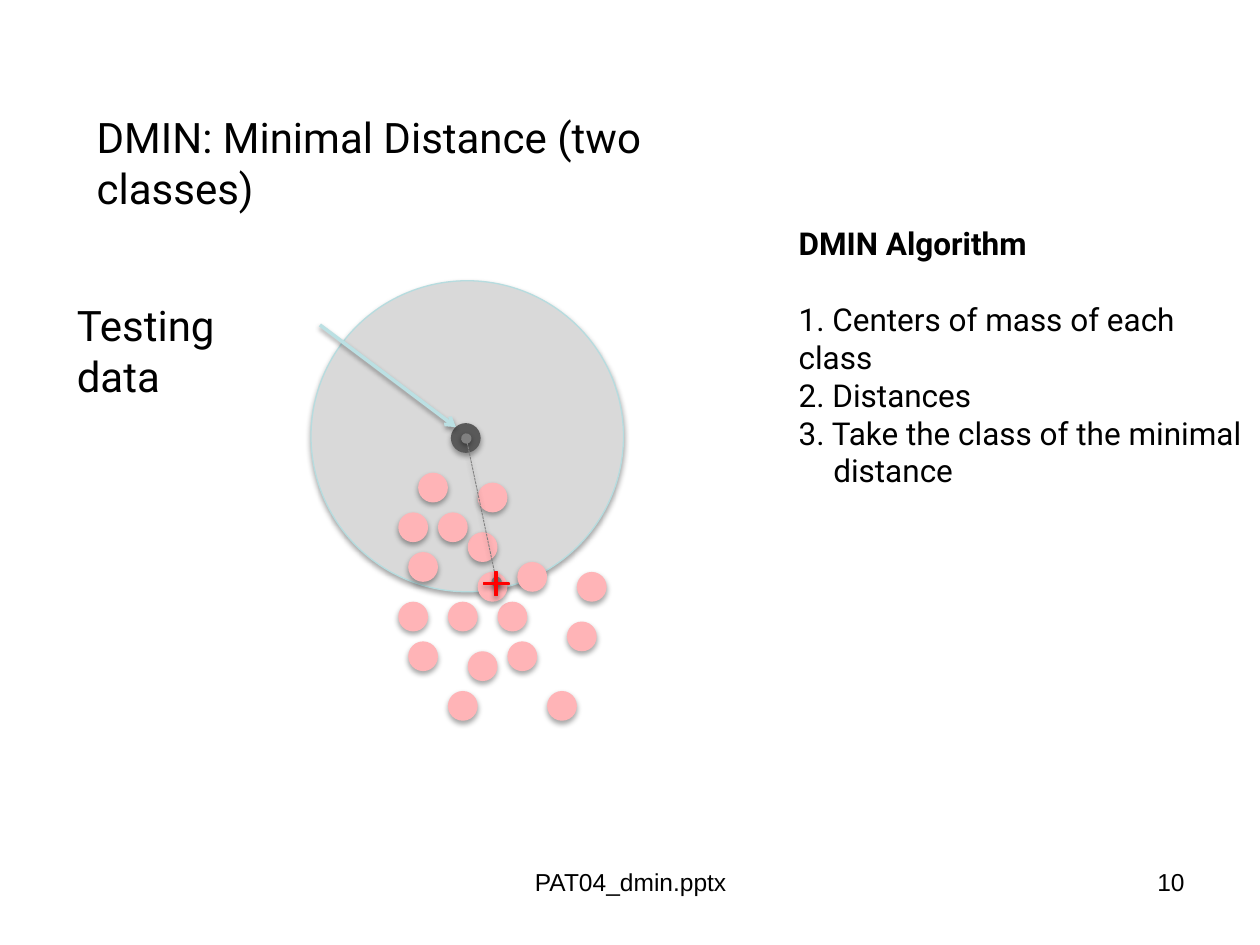
from lxml import etree
from pptx import Presentation
from pptx.dml.color import RGBColor
from pptx.enum.dml import MSO_LINE
from pptx.enum.shapes import MSO_CONNECTOR, MSO_SHAPE
from pptx.enum.text import PP_ALIGN
from pptx.oxml.ns import qn
from pptx.util import Cm, Pt

OVAL, PLUS = MSO_SHAPE.OVAL, MSO_SHAPE.CROSS
LEFT, MID, RIGHT = PP_ALIGN.LEFT, PP_ALIGN.CENTER, PP_ALIGN.RIGHT
DASH = MSO_LINE.SQUARE_DOT
STRAIGHT = MSO_CONNECTOR.STRAIGHT

STEP, DOT = 0.2, 0.6
DOTS = [(2, 0), (1, 8), (0, 4), (8, 1), (5, 13), (7, 6), (12, 9), (11, 17), (10, 13),
        (18, 10), (15, 22), (17, 15), (4, 4), (1, 17), (0, 13), (8, 10), (5, 22), (7, 18)]
STEPS = [("1. Centers of mass of each class", 22, 0), ("2. Distances", 0, 0),
         ("3. Take the class of the minimal", 0, 0), ("distance", 0, 0.7)]


def color(code):
    return RGBColor.from_string(code)


class Board:
    """Holds the style and the current slide, and draws each kind of element."""

    ink = "000000"
    face = "Roboto"

    def __init__(self, slide):
        self.slide = slide

    def shade(self, shape, alpha, dist):
        shape.shadow.inherit = False if hasattr(shape, "shadow") else None

    def shadow(self, item, alpha, dist):
        props = item._element.spPr
        for old in props.findall(qn("a:effectLst")):
            props.remove(old)
        effects = etree.SubElement(props, qn("a:effectLst"))
        outer = etree.SubElement(effects, qn("a:outerShdw"), blurRad=str(Pt(3.1)),
                                 dist=str(Pt(dist)), dir="5400000", rotWithShape="0")
        tint = etree.SubElement(outer, qn("a:srgbClr"), val=self.ink)
        etree.SubElement(tint, qn("a:alpha"), val=str(alpha * 1000))

    def shape(self, kind, x, y, w, h, fill, line=None, home=None):
        item = (home or self.slide).shapes.add_shape(kind, Cm(x), Cm(y), Cm(w), Cm(h))
        item.fill.solid()
        item.fill.fore_color.rgb = color(fill)
        if line:
            item.line.color.rgb = color(line)
            item.line.width = Pt(0.75)
        else:
            item.line.fill.background()
        self.shadow(item, 35, 1.8)
        return item

    def line(self, x1, y1, x2, y2, tint, width, tail, head=None, dash=None):
        item = self.slide.shapes.add_connector(STRAIGHT, Cm(x1), Cm(y1), Cm(x2), Cm(y2))
        item.line.color.rgb = color(tint)
        item.line.width = Pt(width)
        if dash:
            item.line.dash_style = dash
        stroke = item.line._get_or_add_ln()
        for tag, end in (("a:headEnd", head), ("a:tailEnd", tail)):
            if end:
                etree.SubElement(stroke, qn(tag), type=end)
        self.shadow(item, 38, 1.6)

    def run(self, para, words, size, bold=False, face=None):
        run = para.add_run()
        run.text = words
        run.font.size = Pt(size)
        run.font.name = face or self.face
        run.font.bold = bold
        run.font.color.rgb = color(self.ink)

    def text(self, x, y, w, h, words, size, bold=False, face=None, align=LEFT, wrap=True):
        frame = self.slide.shapes.add_textbox(Cm(x), Cm(y), Cm(w), Cm(h)).text_frame
        frame.word_wrap = wrap
        para = frame.paragraphs[0]
        para.alignment = align
        self.run(para, words, size, bold, face)
        return frame

    def item(self, frame, words, size, before, indent):
        para = frame.add_paragraph()
        para.space_before = Pt(before)
        para._p.get_or_add_pPr().set("marL", str(Cm(indent)))
        self.run(para, words, size)


del Board.shade


def main():
    deck = Presentation()
    deck.slide_width, deck.slide_height = Cm(25.4), Cm(19.05)
    slide = deck.slides.add_slide(deck.slide_layouts[6])
    board = Board(slide)

    board.shape(OVAL, 6.27, 5.66, 6.3, 6.27, "D9D9D9", "B6DCDF")
    group = slide.shapes.add_group_shape()
    for col, row in DOTS:
        board.shape(OVAL, 8.03 + col * STEP, 9.53 + row * STEP, DOT, DOT, "FFB4B7", home=group)
    board.shape(OVAL, 9.09, 8.53, DOT, DOT, "595959")

    board.text(1.3, 5.92, 5.16, 1.27, "Testing data", 24, wrap=False)
    board.line(6.45, 6.55, 9.19, 8.61, "BBE0E3", 2, "arrow")
    board.text(1.7, 2.13, 14.2, 2.2, "DMIN: Minimal Distance (two classes)", 24)
    board.line(9.4, 8.84, 10.01, 11.73, "808080", 0.5, "oval", "oval", DASH)
    cross = board.shape(PLUS, 9.75, 11.53, 0.51, 0.48, "FF0000", "FF0000")
    cross.adjustments[0] = 0.465

    frame = board.text(15.85, 4.39, 9.5, 4.88, "DMIN Algorithm", 18, bold=True)
    for words, before, indent in STEPS:
        board.item(frame, words, 18, before, indent)

    board.text(8.69, 17.35, 8.05, 1.32, "PAT04_dmin.pptx", 14, face="Arial", align=MID)
    board.text(18.21, 17.35, 5.92, 1.32, "10", 14, face="Arial", align=RIGHT)
    deck.save("out.pptx")


if __name__ == "__main__":
    main()
